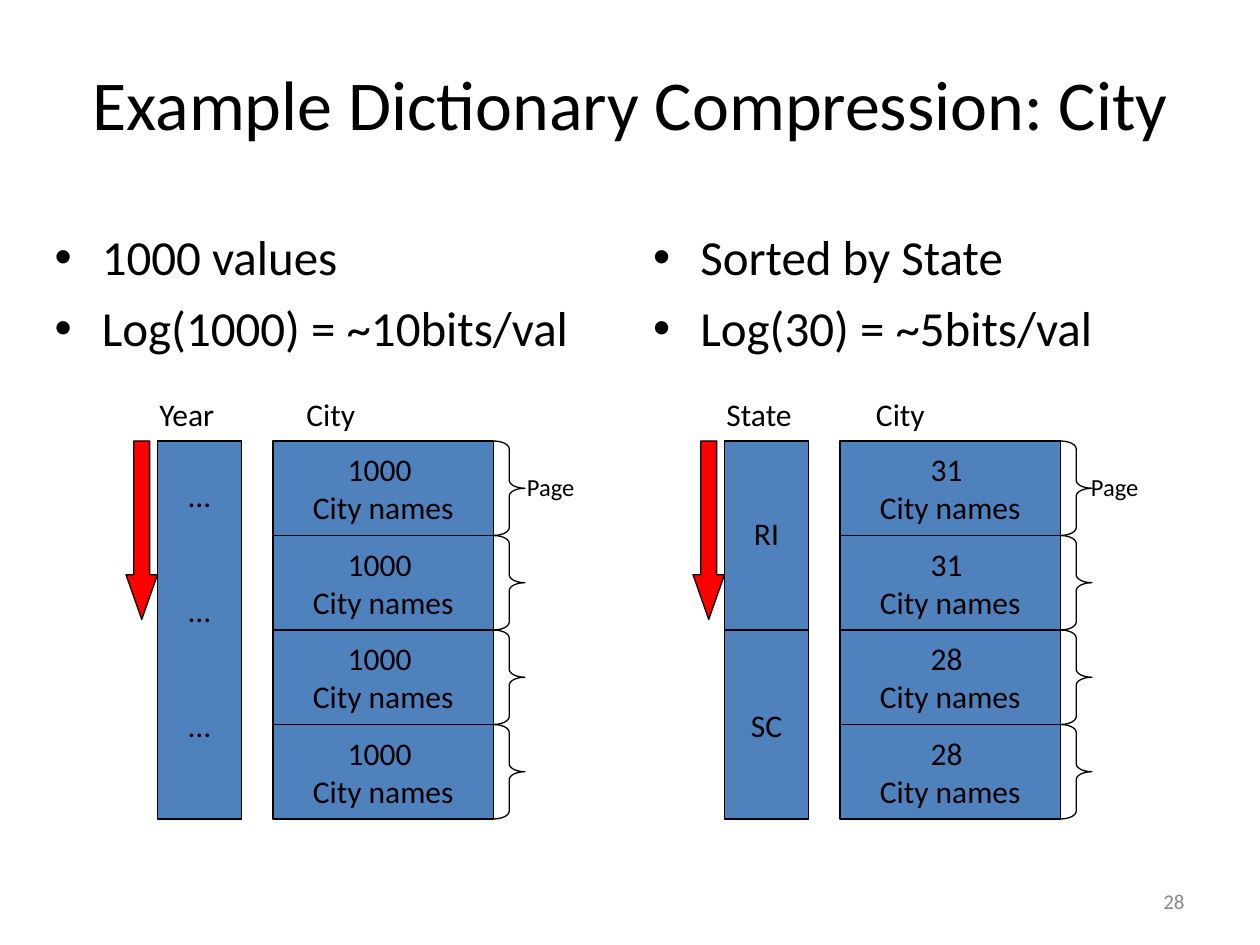
from lxml import etree
from pptx import Presentation
from pptx.dml.color import RGBColor
from pptx.enum import shapes, text
from pptx.oxml.ns import qn
from pptx.util import Pt

COLORS = {"text": "000000", "line": "000000", "block": "4F81BD",
          "arrow": "FF0000", "number": "898989"}
TWO_CONTENT = 3
TOP, PAGE_HEIGHT, SIDE_STEP = 252, 54, 324
COLUMN_HEIGHT = 4 * PAGE_HEIGHT


def write(box, lines, size=18, color="text", align=text.PP_ALIGN.LEFT,
          anchor=text.MSO_ANCHOR.TOP, wrap=True, gap=0, top=3.6):
    """Fill a box with one paragraph per line; gap goes before each but the first."""
    frame = box.text_frame
    frame.auto_size = text.MSO_AUTO_SIZE.NONE
    frame.word_wrap = wrap
    frame.vertical_anchor = anchor
    frame.margin_top = Pt(top)
    for i, line in enumerate(lines):
        para = frame.add_paragraph() if i else frame.paragraphs[0]
        para.alignment = align
        para.space_before = Pt(gap if i else 0)
        span = para.add_run()
        span.text = line
        span.font.size = Pt(size)
        span.font.name = "Calibri"
        span.font.color.rgb = RGBColor.from_string(COLORS[color])
    return box


def add_outlined(kind, left, top, width, height, fill=None):
    shape = page.shapes.add_shape(kind, Pt(left), Pt(top), Pt(width), Pt(height))
    shape.shadow.inherit = False
    if fill:
        shape.fill.solid()
        shape.fill.fore_color.rgb = RGBColor.from_string(COLORS[fill])
    else:
        shape.fill.background()
    shape.line.color.rgb = RGBColor.from_string(COLORS["line"])
    shape.line.width = Pt(0.75)
    return shape


deck = Presentation()
deck.slide_width, deck.slide_height = Pt(720), Pt(540)
page = deck.slides.add_slide(deck.slide_layouts[TWO_CONTENT])
KIND = shapes.MSO_SHAPE
CENTER, MIDDLE = text.PP_ALIGN.CENTER, text.MSO_ANCHOR.MIDDLE

title = page.shapes.title
title.left, title.top, title.width, title.height = Pt(36), Pt(21.6), Pt(648), Pt(74)
write(title, ["Example Dictionary Compression: City"], size=40, align=CENTER, anchor=MIDDLE)

bodies = [
    (1, 24, 348, ["1000 values", "Log(1000) = ~10bits/val"]),
    (2, 366, 318, ["Sorted by State", "Log(30) = ~5bits/val"]),
]
for index, left, width, lines in bodies:
    body = page.placeholders[index]
    body.left, body.top, body.width, body.height = Pt(left), Pt(126), Pt(width), Pt(356)
    write(body, lines, size=28, gap=7)

# heading, tab stop, column entries, gap between them, top inset, city counts, label left
sides = [
    ("Year\tCity", 84, ["…", "…", "…"], 44, 20, [1000, 1000, 1000, 1000], 294),
    ("State\tCity", 85.5, ["RI", "SC"], 88, 42, [31, 31, 28, 28], 616.3),
]
columns = []
for side, (heading, tab, entries, gap, inset, counts, label_left) in enumerate(sides):
    shift = side * SIDE_STEP
    column = add_outlined(KIND.RECTANGLE, 90 + shift, TOP, 48, COLUMN_HEIGHT, "block")
    write(column, entries, align=CENTER, wrap=False, gap=gap, top=inset)
    columns.append(column)

    header = page.shapes.add_textbox(Pt(84 + shift), Pt(222), Pt(192), Pt(29))
    write(header, [heading])
    properties = header.text_frame.paragraphs[0]._p.get_or_add_pPr()
    stops = etree.SubElement(properties, qn("a:tabLst"))
    etree.SubElement(stops, qn("a:tab"), pos=str(Pt(tab)), algn="l")

    arrow = add_outlined(KIND.DOWN_ARROW, 72 + shift, TOP, 18, 102, "arrow")
    arrow.adjustments[0], arrow.adjustments[1] = 0.5, 1.42

    for row, count in enumerate(counts):
        top = TOP + row * PAGE_HEIGHT
        block = add_outlined(KIND.RECTANGLE, 156 + shift, top, 126, PAGE_HEIGHT, "block")
        write(block, [f"{count} ", "City names"], align=CENTER, anchor=MIDDLE, wrap=False)
        brace = add_outlined(KIND.RIGHT_BRACE, 282 + shift, top, 18, PAGE_HEIGHT)
        brace.adjustments[0] = 0.25

    label = page.shapes.add_textbox(Pt(label_left), Pt(266), Pt(48), Pt(24.5))
    write(label, ["Page"], size=14)

state_column = columns[1]
divider = page.shapes.add_connector(shapes.MSO_CONNECTOR.STRAIGHT, 0, 0, 0, 0)
divider.begin_connect(state_column, 1)
divider.end_connect(state_column, 3)
divider.line.color.rgb = RGBColor.from_string(COLORS["line"])
divider.line.width = Pt(0.75)
etree.SubElement(divider._element.spPr, qn("a:effectLst"))

number = page.shapes.add_textbox(Pt(516), Pt(500.4), Pt(168), Pt(28.8))
write(number, ["28"], size=12, color="number", align=text.PP_ALIGN.RIGHT, anchor=MIDDLE)

deck.save("out.pptx")
